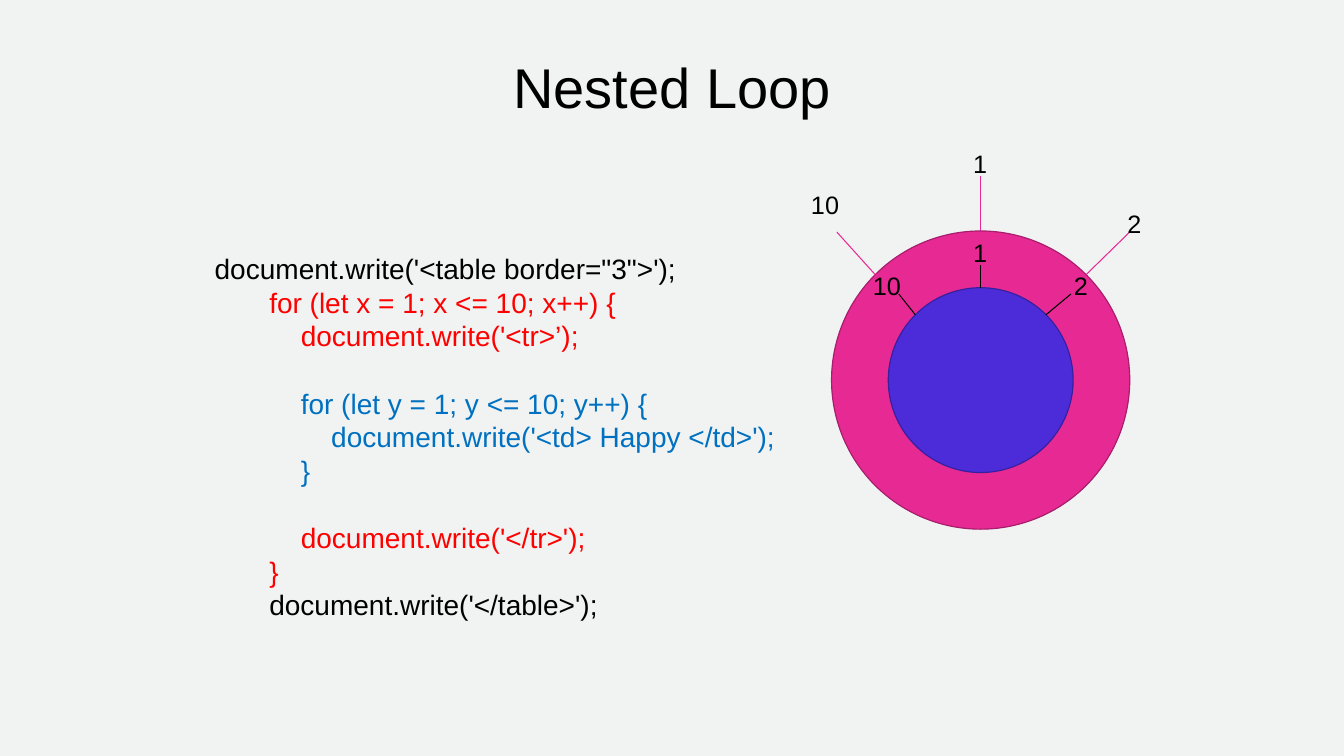
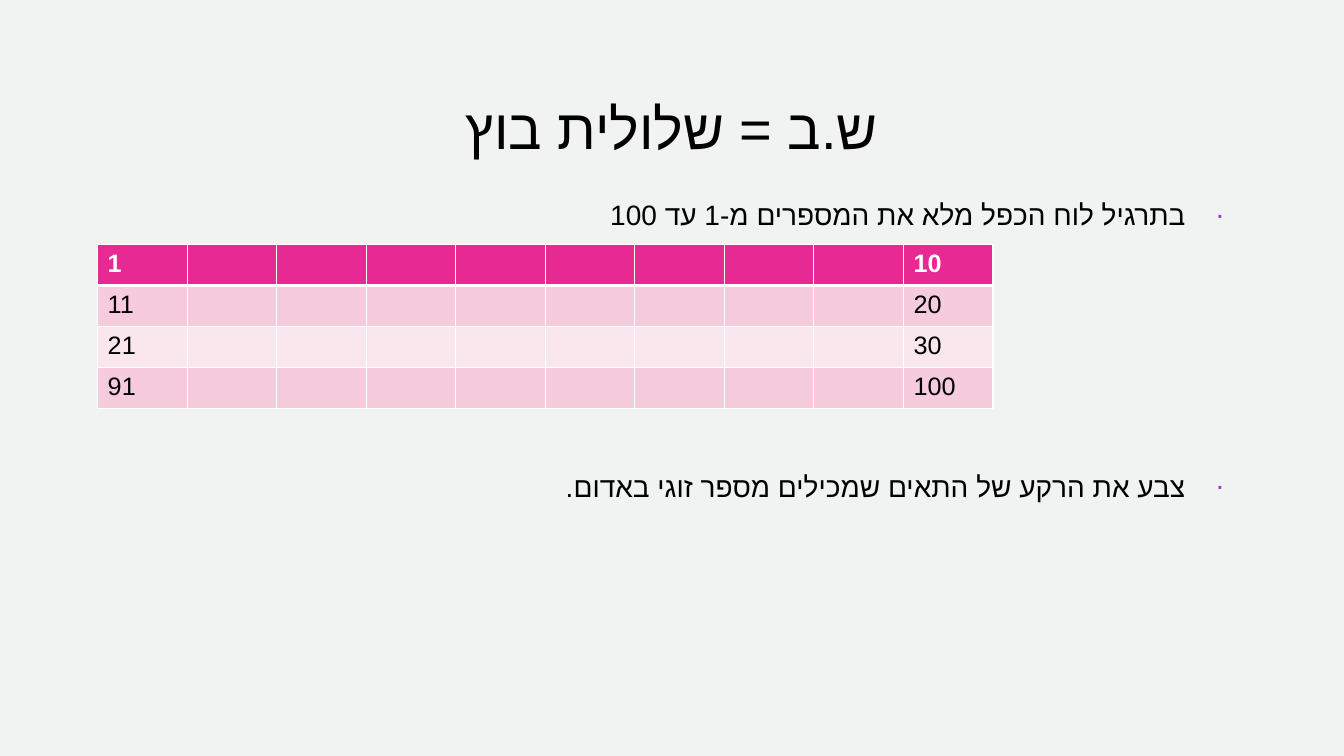
from math import cos, radians, sin

from lxml import etree
from pptx import Presentation
from pptx.dml.color import RGBColor
from pptx.enum.shapes import MSO_CONNECTOR as CONN, MSO_SHAPE as SHAPE
from pptx.enum.text import MSO_ANCHOR as ANCHOR, MSO_AUTO_SIZE as AUTO, PP_ALIGN as ALIGN
from pptx.oxml.ns import qn
from pptx.util import Emu, Pt

PX = 9525
COLORS = {
    "paper": "F0F3F2", "ink": "000000", "white": "FFFFFF",
    "pink": "E72994", "pink_edge": "A81D6C", "violet": "4C2CD9", "violet_edge": "37209E",
    "red": "FF0000", "blue": "0070C0", "bullet": "9B29E7",
    "row_dark": "F6CBDC", "row_light": "FAE7EE",
}
FONT = "Arial"
TITLE = {"size": Pt(40)}
BODY = {"size": Pt(20)}
LABEL = {"size": Pt(18)}
HEADER = {"size": Pt(18), "bold": True}
CODE_INDENTS = (7, 59, 89, 118)
CODE_PITCH = 24
CODE = [
    (0, "ink", "document.write('<table border=\"3\">');", 0),
    (1, "red", "for (let x = 1; x <= 10; x++) {", 0),
    (2, "red", "document.write('<tr>’);", 1),
    (2, "blue", "for (let y = 1; y <= 10; y++) {", 0),
    (3, "blue", "document.write('<td> Happy </td>');", 0),
    (2, "blue", "}", 1),
    (2, "red", "document.write('</tr>');", 0),
    (1, "red", "}", 0),
    (1, "ink", "document.write('</table>');", 0),
]
CENTER = (934, 362)
RINGS = [
    (142, "pink", "pink_edge", "pink",
     [(0, (934, 168), "1", (940, 141)),
      (45, (1077, 220), "2", (1087, 198)),
      (-45, (797, 221), "10", (799, 180))]),
    (88, "violet", "violet_edge", "ink",
     [(0, (934, 252), "1", (940, 226)),
      (45, (1020, 280), "2", (1036, 257)),
      (-45, (856, 280), "10", (858, 257))]),
]
TASKS = [
    ("בתרגיל לוח הכפל מלא את המספרים מ-1 עד 100", 0),
    ("צבע את הרקע של התאים שמכילים מספר זוגי באדום.", 165),
]


def px(*values):
    """Turn pixel lengths into EMU."""
    return [Emu(round(v * PX)) for v in values]


def rgb(name):
    """Look up a palette colour."""
    return RGBColor.from_string(COLORS[name])


def assign(obj, values):
    """Set each attribute of obj named in values."""
    for key, value in values.items():
        setattr(obj, key, value)


def place(sp, *box):
    """Move and size a shape."""
    assign(sp, dict(zip(("left", "top", "width", "height"), px(*box))))


def add_run(p, text, style, color="ink"):
    """Add a formatted run to a paragraph."""
    r = p.add_run()
    r.text = text
    assign(r.font, {"name": FONT, "bold": False, **style})
    r.font.color.rgb = rgb(color)
    etree.SubElement(r.font._element, qn("a:cs"), typeface=FONT)


def paragraphs(tf):
    """Yield the first paragraph of a frame, then new ones."""
    yield tf.paragraphs[0]
    while True:
        yield tf.add_paragraph()


def set_title(s, text, height):
    """Fill the title placeholder in the shared style."""
    place(s.shapes.title, 104, 41, 1072, height)
    tf = s.shapes.title.text_frame
    assign(tf, {"auto_size": AUTO.NONE, "vertical_anchor": ANCHOR.BOTTOM, "word_wrap": True})
    p = tf.paragraphs[0]
    assign(p, {"alignment": ALIGN.CENTER, "line_spacing": 1.1})
    add_run(p, text, TITLE)


def add_code(s, lines):
    """Add the indented code listing."""
    tf = s.shapes.add_textbox(*px(188, 235, 564, 365)).text_frame
    tf.word_wrap = True
    for p, (level, color, text, gap) in zip(paragraphs(tf), lines):
        assign(p, {"line_spacing": Pt(CODE_PITCH), "space_after": Pt(gap * CODE_PITCH)})
        p._p.get_or_add_pPr().set("marL", str(CODE_INDENTS[level] * PX))
        add_run(p, text, BODY, color)


def add_circle(s, radius, fill, edge):
    """Add a circle around the common centre."""
    x, y = CENTER
    sp = s.shapes.add_shape(
        SHAPE.OVAL, *px(x - radius, y - radius, 2 * radius, 2 * radius))
    sp.shadow.inherit = False
    sp.fill.solid()
    sp.fill.fore_color.rgb = rgb(fill)
    sp.line.color.rgb = rgb(edge)
    sp.line.width = Pt(0.85)
    return sp


def add_tick(s, circle, radius, angle, end, color):
    """Add a line from the circle's rim to an outer point."""
    x = CENTER[0] + radius * sin(radians(angle))
    y = CENTER[1] - radius * cos(radians(angle))
    line = s.shapes.add_connector(CONN.STRAIGHT, *px(x, y, *end))
    if angle == 0:
        line.begin_connect(circle, 0)
    line.line.color.rgb = rgb(color)
    line.line.width = Pt(0.75)
    etree.SubElement(line._element.spPr, qn("a:effectLst"))


def add_label(s, text, right, top):
    """Add a number whose text ends at right."""
    tf = s.shapes.add_textbox(*px(right - 32, top, 32, 29)).text_frame
    assign(tf, {f"margin_{side}": 0 for side in ("left", "top", "right", "bottom")})
    tf.word_wrap = True
    tf.paragraphs[0].alignment = ALIGN.RIGHT
    add_run(tf.paragraphs[0], text, LABEL)


def fill_tasks(sp, tasks):
    """Write the right-to-left bullet list."""
    place(sp, 104, 177, 1072, 424)
    tf = sp.text_frame
    assign(tf, {"auto_size": AUTO.NONE, "vertical_anchor": ANCHOR.TOP, "word_wrap": True})
    for p, (text, gap) in zip(paragraphs(tf), tasks):
        assign(p, {"alignment": ALIGN.RIGHT, "line_spacing": Pt(29), "space_before": Pt(gap)})
        pPr = p._p.get_or_add_pPr()
        for key, value in {"rtl": 1, "marL": 37 * PX, "indent": -37 * PX}.items():
            pPr.set(key, str(value))
        color = etree.SubElement(pPr, qn("a:buClr"))
        etree.SubElement(color, qn("a:srgbClr"), val=COLORS["bullet"])
        etree.SubElement(pPr, qn("a:buFont"), typeface=FONT)
        etree.SubElement(pPr, qn("a:buChar"), char="·")
        add_run(p, text, BODY)


def set_borders(cell, widths):
    """Draw white cell borders of the given point widths."""
    tcPr = cell._tc.get_or_add_tcPr()
    for side, width in widths.items():
        ln = etree.SubElement(tcPr, qn(f"a:ln{side}"), w=str(Pt(width)))
        fill = etree.SubElement(ln, qn("a:solidFill"))
        etree.SubElement(fill, qn("a:srgbClr"), val=COLORS["white"])


def add_number_table(s, starts, columns):
    """Add a table showing the first and last number of each row."""
    table = s.shapes.add_table(
        len(starts), columns, *px(93, 233, 853, 39 * len(starts))).table
    for i, start in enumerate(starts):
        header = i == 0
        fill = "pink" if header else "row_dark" if i % 2 else "row_light"
        for j in range(columns):
            cell = table.cell(i, j)
            set_borders(cell, {"L": 1, "R": 1, "T": 3 if i == 1 else 1, "B": 3 if header else 1})
            cell.fill.solid()
            cell.fill.fore_color.rgb = rgb(fill)
            if j in (0, columns - 1):
                add_run(cell.text_frame.paragraphs[0], str(start + j),
                        HEADER if header else LABEL, "white" if header else "ink")


def build_loop_slide(prs):
    """Build the nested loop slide."""
    s = prs.slides.add_slide(prs.slide_layouts[5])
    set_title(s, "Nested Loop", 78)
    add_code(s, CODE)
    circles = [add_circle(s, *ring[:3]) for ring in RINGS]
    for circle, (radius, _, _, color, marks) in zip(circles, RINGS):
        for angle, end, text, spot in marks:
            add_tick(s, circle, radius, angle, end, color)
            add_label(s, text, *spot)


def build_homework_slide(prs):
    """Build the homework slide."""
    s = prs.slides.add_slide(prs.slide_layouts[1])
    set_title(s, "ש.ב = שלולית בוץ", 117)
    fill_tasks(s.placeholders[1], TASKS)
    add_number_table(s, (1, 11, 21, 91), 10)


def main():
    """Build and save the presentation."""
    prs = Presentation()
    prs.slide_width, prs.slide_height = px(1280, 720)
    background = prs.slide_master.background.fill
    background.solid()
    background.fore_color.rgb = rgb("paper")
    build_loop_slide(prs)
    build_homework_slide(prs)
    prs.save("out.pptx")


if __name__ == "__main__":
    main()
